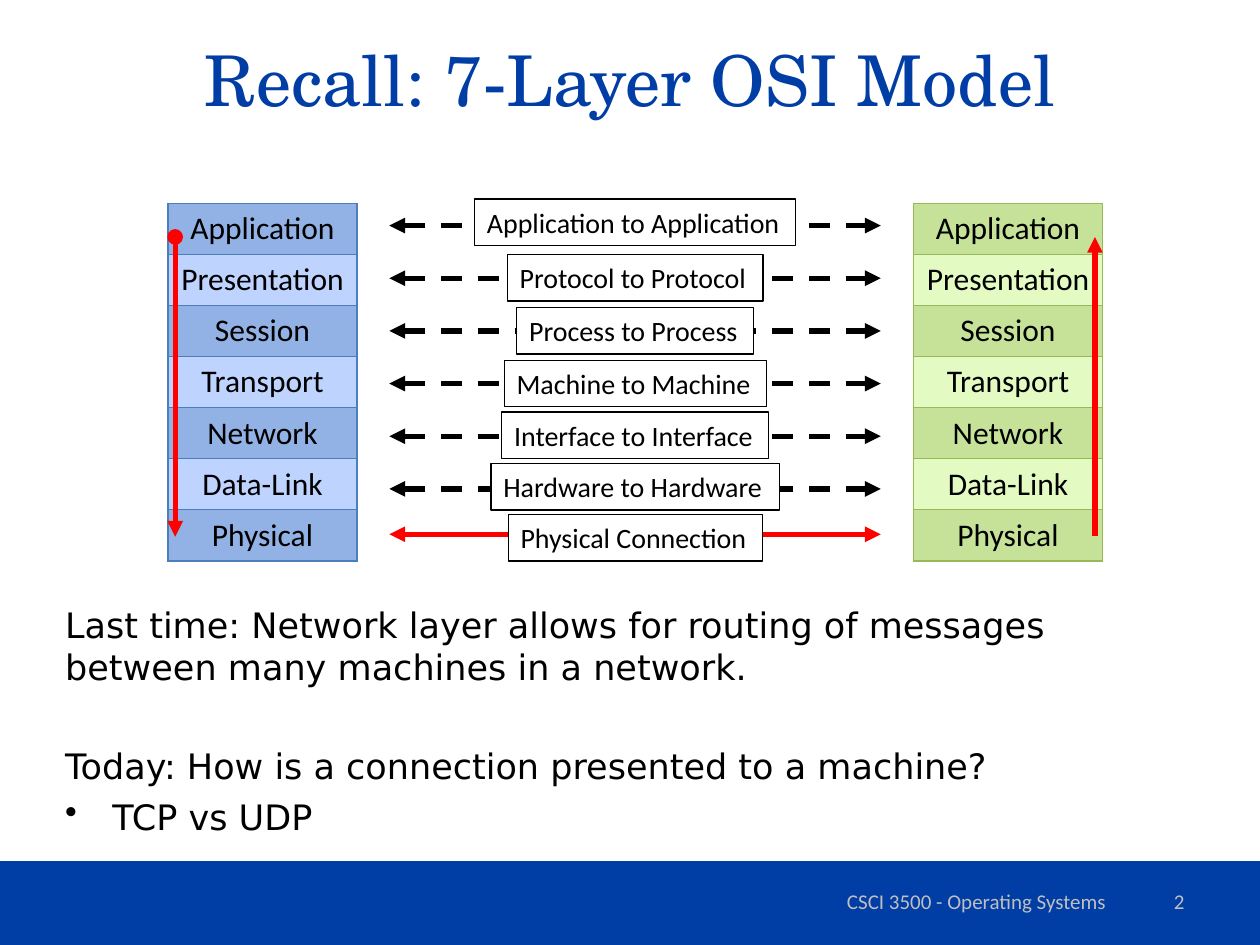
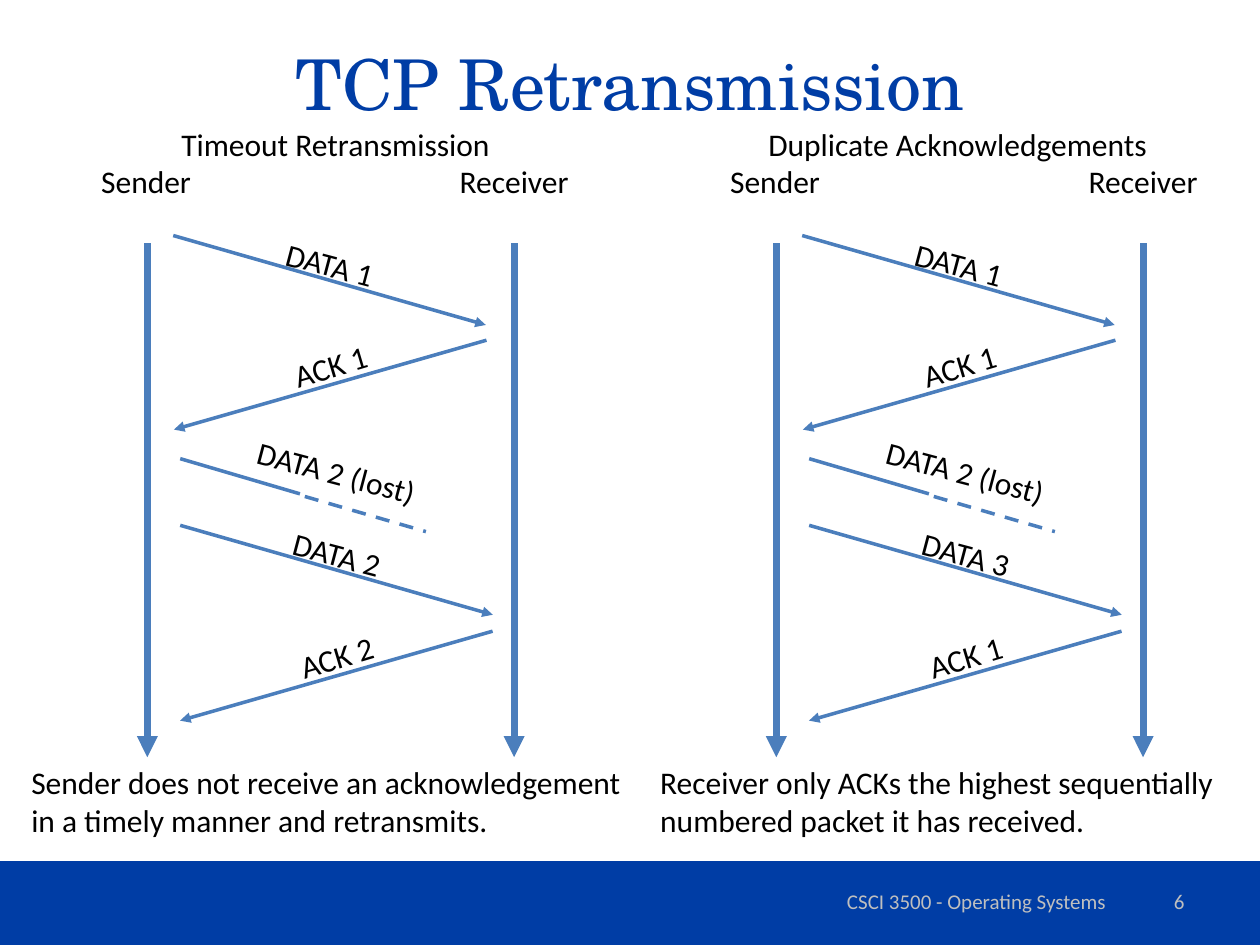
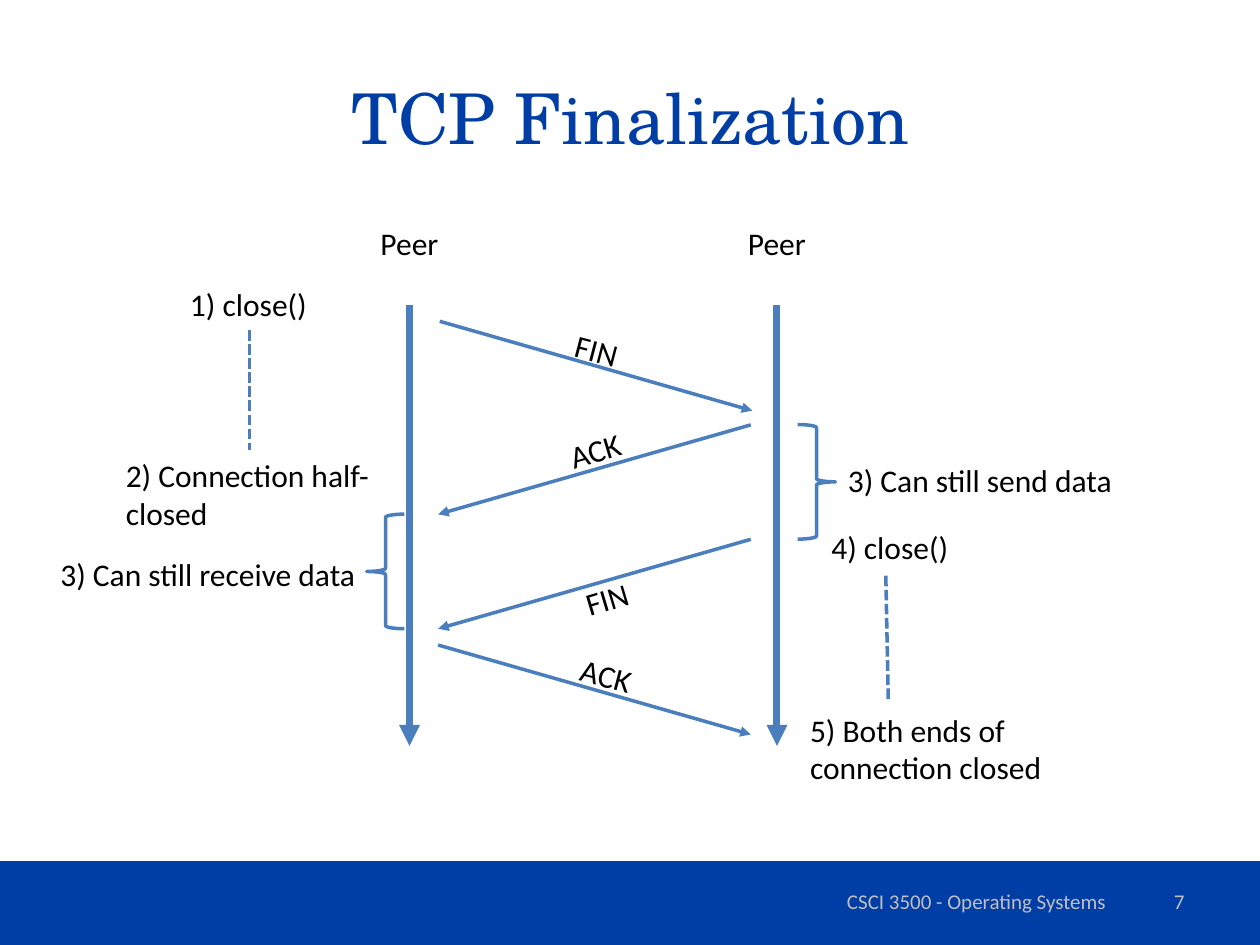
"""Build three slides on the OSI model, TCP retransmission and TCP finalization."""
from dataclasses import dataclass
from math import atan2, degrees

from lxml import etree
from pptx import Presentation
from pptx import util as u
from pptx.dml.color import RGBColor
from pptx.enum import dml, shapes, text
from pptx.oxml import ns

Pt = u.Pt


@dataclass(frozen=True)
class Theme:
    """Colours, fonts and type sizes of the deck."""
    navy: str = "003DA5"
    steel: str = "4B7EBC"
    red: str = "FF0000"
    black: str = "000000"
    white: str = "FFFFFF"
    grey: str = "BFBFBF"
    sender_rows: tuple = ("92B2E5", "BFD3FF")
    receiver_rows: tuple = ("C6E198", "E3FBC2")
    receiver_border: str = "98B955"
    title_font: str = "TeX Gyre Schola"
    body_font: str = "DejaVu Sans"
    label_font: str = "Calibri"
    title_size: float = 40
    body_size: float = 20
    label_size: float = 18
    small_size: float = 16
    footer_size: float = 12


THEME = Theme()
SLANT_X, SLANT_Y = 178.6, 51.1
LABEL_HEIGHT = 28.8
LABEL_WIDTHS = {"FIN": 38.9, "ACK": 43.9}
WIDE_LABELS = {"DATA": 65.5, "ACK": 57.6}


def child(parent, tag, **attributes):
    """Append a DrawingML element to its parent."""
    return etree.SubElement(parent, ns.qn(tag), attributes)


def write(frame, content, *, font=THEME.label_font, size=THEME.label_size,
          color=THEME.black, align="LEFT", anchor="TOP", wrap=False,
          gaps=(), bullets=()):
    """Write one paragraph, or a list of them, with one format."""
    frame.word_wrap = wrap
    frame.vertical_anchor = getattr(text.MSO_ANCHOR, anchor)
    lines = [content] if isinstance(content, str) else content
    for index, line in enumerate(lines):
        paragraph = frame.paragraphs[0] if index == 0 else frame.add_paragraph()
        paragraph.text = line
        paragraph.alignment = getattr(text.PP_ALIGN, align)
        if gaps:
            paragraph.space_before = Pt(gaps[index])
        if index in bullets:
            properties = paragraph._p.get_or_add_pPr()
            properties.set("marL", str(Pt(27)))
            properties.set("indent", str(-Pt(27)))
            child(properties, "a:buChar", char="•")
        for run in paragraph.runs:
            run.font.name = font
            run.font.size = Pt(size)
            run.font.color.rgb = RGBColor.from_string(color)


class Deck:
    """Hold the style and the current slide, and draw each kind of element."""

    def __init__(self, theme):
        self.theme = theme
        self.show = Presentation()
        self.show.slide_width, self.show.slide_height = Pt(720), Pt(540)
        self.slide = None

    def start(self, title, top, number):
        """Add a slide with its title, band and footer."""
        theme = self.theme
        self.slide = self.show.slides.add_slide(self.show.slide_layouts[5])
        heading = self.slide.shapes.title
        heading.left, heading.top = Pt(36), Pt(top)
        heading.width, heading.height = Pt(648), Pt(90)
        write(heading.text_frame, title, font=theme.title_font, size=theme.title_size,
              color=theme.navy, align="CENTER", anchor="MIDDLE", wrap=True)
        heading.text_frame.auto_size = text.MSO_AUTO_SIZE.NONE
        band = self.shape("RECTANGLE", 0, 492, 720, 48)
        band.fill.solid()
        band.fill.fore_color.rgb = RGBColor.from_string(theme.navy)
        band.line.fill.background()
        footer = dict(size=theme.footer_size, color=theme.grey, anchor="MIDDLE", wrap=True)
        self.box("CSCI 3500 - Operating Systems", 444, 500.4, 228, align="CENTER", **footer)
        self.box(str(number), 516, 500.4, 168, align="RIGHT", **footer)

    def shape(self, kind, left, top, width, height):
        """Add a preset shape without shadow."""
        drawn = self.slide.shapes.add_shape(
            getattr(shapes.MSO_SHAPE, kind), Pt(left), Pt(top), Pt(width), Pt(height))
        drawn.shadow.inherit = False
        return drawn

    def box(self, content, left, top, width, height=LABEL_HEIGHT, *, turn=0, **style):
        """Add a text box."""
        drawn = self.slide.shapes.add_textbox(Pt(left), Pt(top), Pt(width), Pt(height))
        drawn.rotation = turn
        write(drawn.text_frame, content, **style)
        return drawn

    def framed(self, content, center, top, width):
        """Add a small white label with a thin outline."""
        label = self.box(content, center - width / 2, top, width, 26.6,
                         size=self.theme.small_size)
        label.fill.solid()
        label.fill.fore_color.rgb = RGBColor.from_string(self.theme.white)
        label.line.color.rgb = RGBColor.from_string(self.theme.black)
        label.line.width = Pt(0.75)

    def line(self, start, end, *, color=THEME.steel, width=2, dash=None, head=None, tail=None):
        """Add a straight line with optional dash and arrowheads."""
        drawn = self.slide.shapes.add_connector(
            shapes.MSO_CONNECTOR.STRAIGHT, *(Pt(value) for value in (*start, *end)))
        drawn.line.color.rgb = RGBColor.from_string(color)
        drawn.line.width = Pt(width)
        if dash:
            drawn.line.dash_style = getattr(dml.MSO_LINE, dash)
        properties = drawn.element.spPr
        outline = properties.find(ns.qn("a:ln"))
        for tag, kind in (("a:headEnd", head), ("a:tailEnd", tail)):
            if kind:
                child(outline, tag, type=kind)
        child(properties, "a:effectLst")

    def timeline(self, x, top, bottom):
        """Add the vertical time arrow of one host."""
        self.line((x, top), (x, bottom), width=4, tail="triangle")

    def message(self, content, x, y, width, *, rightward=True, nudge=(0, 0)):
        """Add a slanted arrow with its label alongside."""
        run = SLANT_X if rightward else -SLANT_X
        self.line((x, y), (x + run, y + SLANT_Y), tail="triangle")
        lift = 9 if rightward else 11.2
        center_x = x + run / 2 + 0.6 + nudge[0]
        center_y = y + SLANT_Y / 2 - lift + nudge[1]
        turn = 14.8 if rightward else -16.6
        self.box(content, center_x - width / 2, center_y - LABEL_HEIGHT / 2, width, turn=turn)

    def brace(self, left, top, turn=0):
        """Add an open brace that spans a period of time."""
        brace = self.shape("RIGHT_BRACE", left, top, 21.6, 65.5)
        brace.rotation = turn
        brace.fill.background()
        brace.line.color.rgb = RGBColor.from_string(self.theme.steel)
        brace.line.width = Pt(2)

    def stack(self, rows, left, top, fills, border):
        """Add a one-column table with alternating fills."""
        table = self.slide.shapes.add_table(
            len(rows), 1, Pt(left), Pt(top), Pt(108), Pt(29.2 * len(rows))).table
        table.first_row = table.horz_banding = False
        for index, name in enumerate(rows):
            table.rows[index].height = Pt(29.2)
            cell = table.cell(index, 0)
            write(cell.text_frame, name, align="CENTER", wrap=True)
            properties = cell._tc.get_or_add_tcPr()
            for side in ("a:lnL", "a:lnR", "a:lnT", "a:lnB"):
                edge = child(properties, side, w=str(Pt(0.75)))
                child(child(edge, "a:solidFill"), "a:srgbClr", val=border)
            cell.fill.solid()
            cell.fill.fore_color.rgb = RGBColor.from_string(fills[index % 2])


def osi_model(deck):
    """Draw the seven layers of both hosts and their links."""
    theme = deck.theme
    deck.start("Recall: 7-Layer OSI Model", 0, 2)
    deck.box(["Last time: Network layer allows for routing of messages "
              "between many machines in a network.",
              "Today: How is a connection presented to a machine?", "TCP vs UDP"],
             30.2, 341.5, 648, 140, font=theme.body_font, size=theme.body_size,
             wrap=True, gaps=(0, 32.6, 4.66), bullets=(2,))
    layers = ("Application", "Presentation", "Session", "Transport",
              "Network", "Data-Link", "Physical")
    deck.stack(layers, 96, 116.2, theme.sender_rows, theme.steel)
    deck.stack(layers, 522, 116.2, theme.receiver_rows, theme.receiver_border)
    links = (("Application to Application", 113.8, 183.6),
             ("Protocol to Protocol", 145.4, 146.2),
             ("Process to Process", 175.7, 135.4),
             ("Machine to Machine", 205.9, 149.8),
             ("Interface to Interface", 235.4, 152.6),
             ("Hardware to Hardware", 264.9, 164.9),
             ("Physical Connection", 294, 145.2))
    for index, (name, top, width) in enumerate(links):
        physical = index == len(links) - 1
        y = 305.3 if physical else 128.9 + 30.1 * index
        deck.line((222.5, y), (503.3, y), color=theme.red if physical else theme.black,
                  width=3, dash=None if physical else "DASH",
                  head="triangle", tail="triangle")
        deck.framed(name, 363, top, width)
    deck.line((100.1, 135.4), (100.1, 306.7), color=theme.red, width=3,
              head="oval", tail="triangle")
    deck.line((625.7, 306), (625.7, 135.4), color=theme.red, width=3, tail="triangle")


def exchange(deck, left, heading, center, width, resent, answer, caption, caption_width):
    """Draw one exchange with a lost packet."""
    data, ack = WIDE_LABELS["DATA"], WIDE_LABELS["ACK"]
    for x in (84.2, 293.8):
        deck.timeline(left + x, 139, 432.7)
    deck.box("Sender", left + 50.4, 89.3, 66.2, align="CENTER")
    deck.box("Receiver", left + 254.9, 89.3, 77.8, align="CENTER")
    deck.box(heading, center - width / 2, 67.7, width)
    deck.message("DATA 1", left + 99, 134.6, data)
    deck.message("ACK 1", left + 278, 194.4, ack, rightward=False)
    deck.line((left + 103, 262.1), (left + 171.4, 282.2))
    deck.line((left + 174.2, 283.7), (left + 243.4, 303.8), dash="DASH")
    deck.box("DATA 2 (lost)", left + 139, 255.6, 108,
             turn=round(degrees(atan2(SLANT_Y, SLANT_X)), 1) - 1.2)
    deck.message(resent, left + 103, 300.2, data)
    deck.message(answer, left + 281.5, 360.7, ack, rightward=False)
    deck.box(caption, left + 10.8, 432.7, caption_width, 51.1)


def retransmission(deck):
    """Compare the two causes of retransmission."""
    deck.start("TCP Retransmission", 2.2, 6)
    exchange(deck, 0, "Timeout Retransmission", 193, 193, "DATA 2", "ACK 2",
             "Sender does not receive an acknowledgement\nin a timely manner and retransmits.",
             355.7)
    exchange(deck, 359.4, "Duplicate Acknowledgements", 548.6, 233.3, "DATA 3", "ACK 1",
             "Receiver only ACKs the highest sequentially\nnumbered packet it has received.",
             334.1)


def finalization(deck):
    """Draw how two peers close a connection."""
    deck.start("TCP Finalization", 21.6, 7)
    for x in (234, 444):
        deck.timeline(x, 174.2, 426.2)
        deck.box("Peer", x - 24.1, 124.6, 48.2, align="CENTER")
    fin, ack = LABEL_WIDTHS["FIN"], LABEL_WIDTHS["ACK"]
    deck.message("FIN", 251.3, 183.6, fin)
    deck.message("ACK", 429, 242.8, ack, rightward=False)
    deck.message("FIN", 429, 308.2, fin, rightward=False, nudge=(6.6, 19.4))
    deck.message("ACK", 250.4, 368.6, ack, nudge=(6.4, 0.6))
    deck.line((142.6, 188.6), (142.6, 257), dash="SQUARE_DOT")
    deck.line((506.2, 329), (507.6, 401), dash="SQUARE_DOT")
    deck.brace(455.8, 242.6)
    deck.brace(209.5, 293.8, 180)
    for step, left, top, width, height in (
            ("1) close()", 101.5, 159.1, 82.1, LABEL_HEIGHT),
            ("2) Connection half-\nclosed", 64.8, 257, 156.2, 51.1),
            ("3) Can still receive data", 27.4, 313.9, 184.3, LABEL_HEIGHT),
            ("3) Can still send data", 477.4, 259.9, 168.5, LABEL_HEIGHT),
            ("4) close()", 468, 298.1, 82.1, LABEL_HEIGHT),
            (["5) Both ends of", "connection closed"], 455.8, 402.5, 148.3, 51.1)):
        deck.box(step, left, top, width, height)


def main():
    """Build and save the deck."""
    deck = Deck(THEME)
    for build in (osi_model, retransmission, finalization):
        build(deck)
    deck.show.save("out.pptx")


if __name__ == "__main__":
    main()
